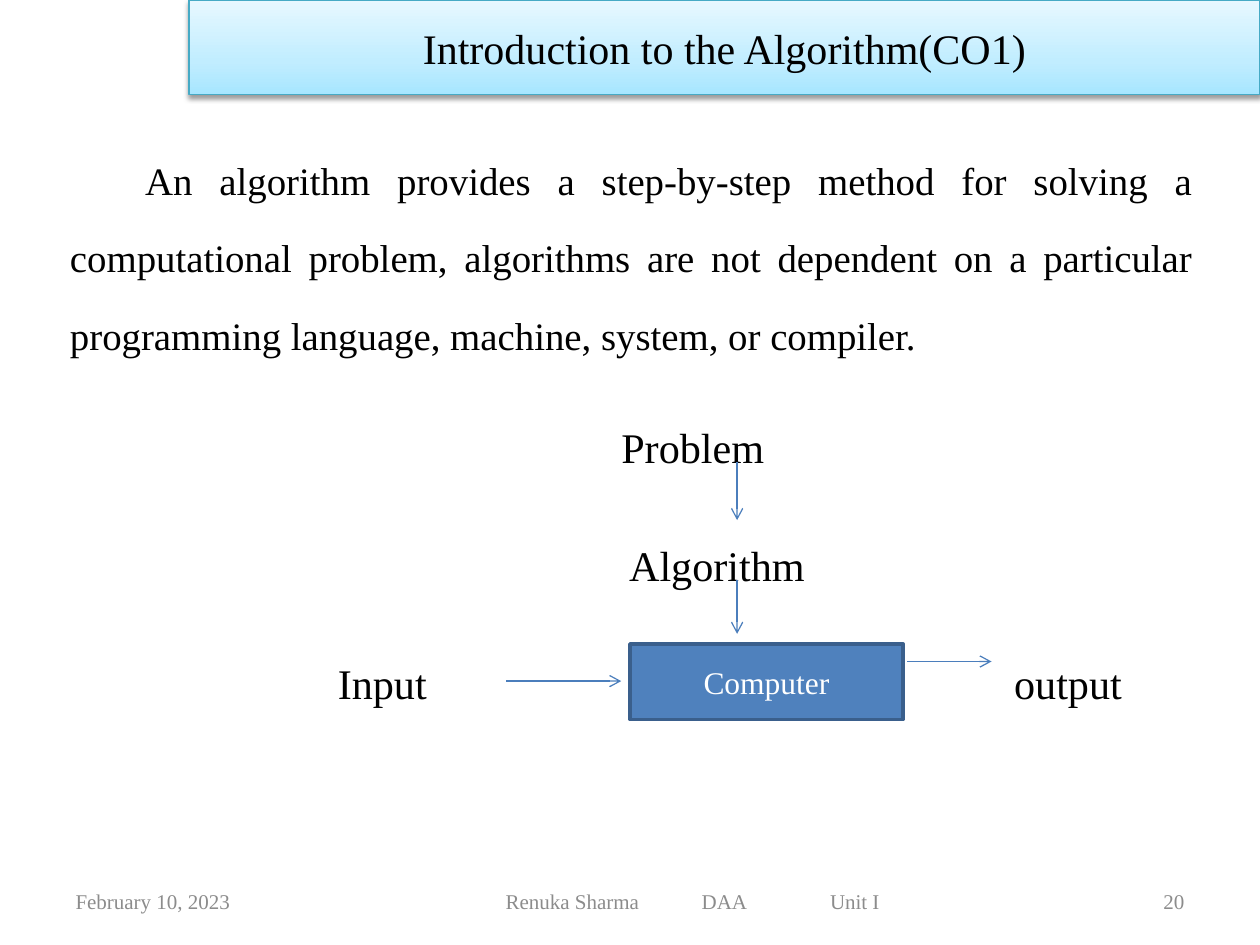
from copy import deepcopy

from lxml import etree
from pptx import Presentation
from pptx.dml.color import RGBColor
from pptx.enum.shapes import MSO_CONNECTOR, MSO_SHAPE
from pptx.enum.text import MSO_ANCHOR, PP_ALIGN
from pptx.oxml import parse_xml
from pptx.oxml.ns import nsdecls, qn
from pptx.util import Pt

RECT = MSO_SHAPE.RECTANGLE
STRAIGHT = MSO_CONNECTOR.STRAIGHT
MIDDLE = MSO_ANCHOR.MIDDLE
LEFT, CENTER, RIGHT, JUSTIFY = (
    PP_ALIGN.LEFT, PP_ALIGN.CENTER, PP_ALIGN.RIGHT, PP_ALIGN.JUSTIFY)

FONT = "Times New Roman"
BLACK = RGBColor(0x00, 0x00, 0x00)
WHITE = RGBColor(0xFF, 0xFF, 0xFF)
GRAY = RGBColor(0x8C, 0x8C, 0x8C)
BLUE = RGBColor(0x4F, 0x81, 0xBD)
DARK_BLUE = RGBColor(0x3A, 0x5F, 0x8C)
ARROW_BLUE = RGBColor(0x4B, 0x7E, 0xBC)
TEAL = RGBColor(0x46, 0xAA, 0xC5)
TITLE_STOPS = [
    (0, RGBColor(0xA7, 0xE6, 0xFF)),
    (0.35, RGBColor(0xC1, 0xED, 0xFF)),
    (1, RGBColor(0xE7, 0xF8, 0xFF)),
]


def write(s, text, size, color, align):
    """Put one run of text in a shape and return its paragraph."""
    tf = s.text_frame
    tf.word_wrap = True
    p = tf.paragraphs[0]
    p.alignment = align
    r = p.add_run()
    r.text = text
    r.font.name = FONT
    r.font.size = Pt(size)
    r.font.color.rgb = color
    return p


def add_label(x, y, w, h, text, size, color, align=LEFT):
    """Add a text box without insets and return its paragraph."""
    s = slide.shapes.add_textbox(Pt(x), Pt(y), Pt(w), Pt(h))
    tf = s.text_frame
    tf.margin_left = tf.margin_right = tf.margin_top = tf.margin_bottom = 0
    return write(s, text, size, color, align)


prs = Presentation()
prs.slide_width, prs.slide_height = Pt(720), Pt(540)
slide = prs.slides.add_slide(prs.slide_layouts[6])

# Definition
p = add_label(40, 71.5, 642, 130,
              "An algorithm provides a step-by-step method for solving a "
              "computational problem, algorithms are not dependent on a "
              "particular programming language, machine, system, or compiler.",
              22.2, BLACK, JUSTIFY)
p.line_spacing = 1.67
p._p.get_or_add_pPr().set("indent", str(Pt(43)))

# Diagram labels, on three equally spaced rows
ROW_TOP, ROW_PITCH = 240.8, 67.5
for text, x, row in [("Problem", 355, 0), ("Algorithm", 359.5, 1),
                     ("Input", 193, 2), ("output", 579.5, 2)]:
    add_label(x, ROW_TOP + row * ROW_PITCH, 115, 28, text, 24.1, BLACK)

# Footer
for text, x, w, align in [("February 10, 2023", 43.2, 150, LEFT),
                          ("Renuka Sharma", 289, 100, LEFT),
                          ("DAA", 401, 60, LEFT),
                          ("Unit I", 474.3, 60, LEFT),
                          ("20", 600, 76.8, RIGHT)]:
    add_label(x, 508, w, 14, text, 12, GRAY, align)

# Title banner
s = slide.shapes.add_shape(RECT, Pt(108), Pt(0), Pt(612), Pt(54))
s.fill.gradient()
s.fill.gradient_angle = 90
stops = s._element.spPr.find(".//" + qn("a:gsLst"))
stops.insert(1, deepcopy(stops[0]))
for stop, (position, color) in zip(s.fill.gradient_stops, TITLE_STOPS):
    stop.position = position
    stop.color.rgb = color
s.line.color.rgb = TEAL
s.line.width = Pt(0.75)
s.shadow.inherit = False
s._element.spPr.find(qn("a:effectLst")).append(parse_xml(
    f'<a:outerShdw {nsdecls("a")} blurRad="{Pt(3.1)}" dist="{Pt(1.6)}" '
    'dir="5400000" rotWithShape="0"><a:srgbClr val="000000">'
    '<a:alpha val="38000"/></a:srgbClr></a:outerShdw>'))
s.text_frame.vertical_anchor = MIDDLE
write(s, "Introduction to the Algorithm(CO1)", 24, BLACK, CENTER)

# Computer
s = slide.shapes.add_shape(RECT, Pt(360), Pt(368), Pt(156), Pt(43.2))
s.shadow.inherit = False
s.fill.solid()
s.fill.fore_color.rgb = BLUE
s.line.color.rgb = DARK_BLUE
s.line.width = Pt(2)
s.text_frame.vertical_anchor = MIDDLE
write(s, "Computer", 18, WHITE, CENTER)

# Arrows
for x1, y1, x2, y2 in [(421.2, 264, 421.2, 297.2),
                       (421.2, 331.2, 421.2, 362.2),
                       (289.2, 389.2, 355, 389.2),
                       (518.4, 378, 566.6, 378)]:
    s = slide.shapes.add_connector(STRAIGHT, Pt(x1), Pt(y1), Pt(x2), Pt(y2))
    s.line.color.rgb = ARROW_BLUE
    s.line.width = Pt(0.75)
    etree.SubElement(s.line._get_or_add_ln(), qn("a:tailEnd"), type="arrow")
    etree.SubElement(s._element.spPr, qn("a:effectLst"))

prs.save("out.pptx")
